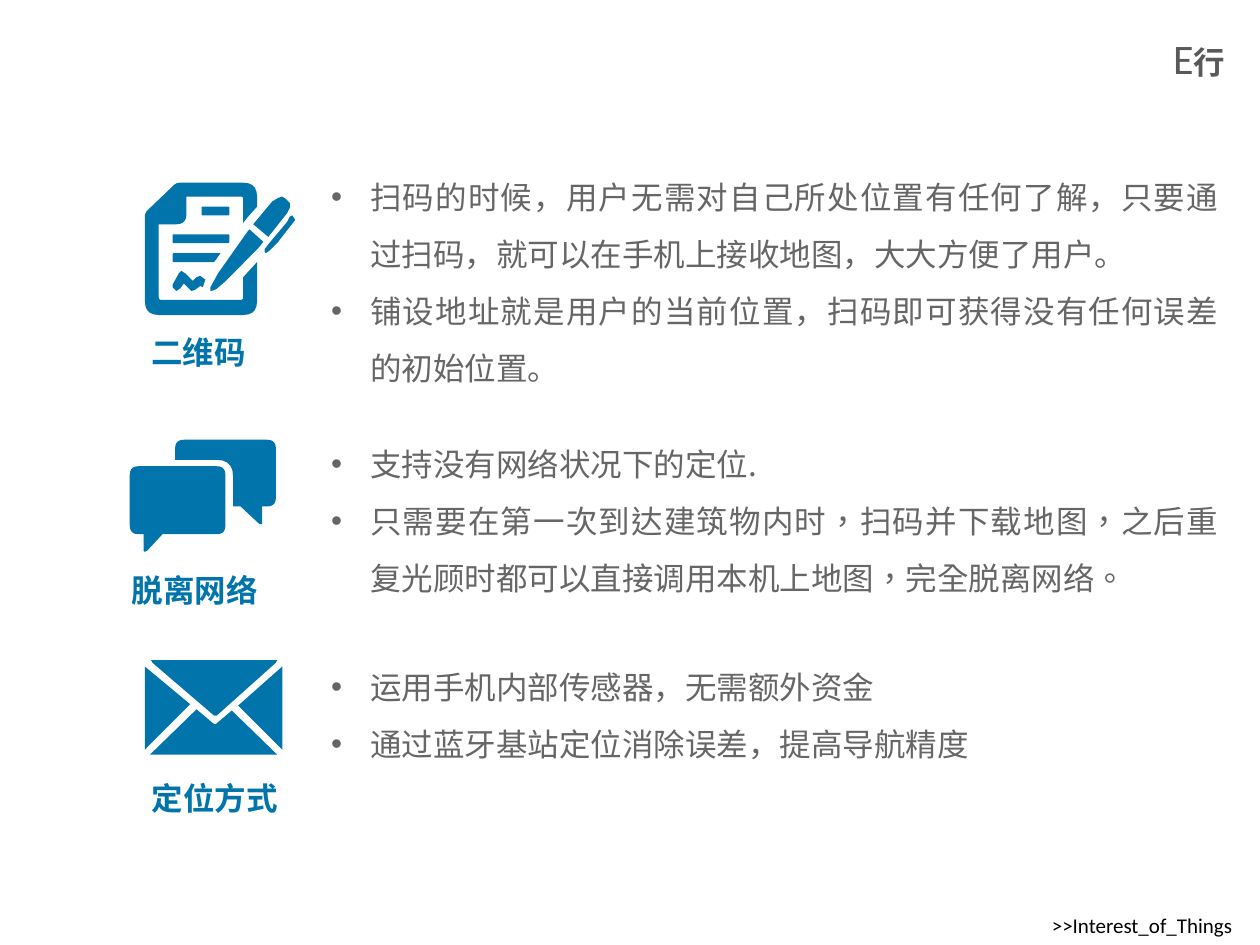
from dataclasses import dataclass

from pptx import Presentation
from pptx.dml.color import RGBColor
from pptx.enum.text import MSO_ANCHOR, MSO_AUTO_SIZE, PP_ALIGN
from pptx.oxml.ns import qn
from pptx.util import Pt
from lxml import etree

PX = 9144  # EMU in one px, 100 px to the inch
LEFT, CENTER, JUSTIFY = PP_ALIGN.LEFT, PP_ALIGN.CENTER, PP_ALIGN.JUSTIFY
TOP = MSO_ANCHOR.TOP
NO_AUTOSIZE = MSO_AUTO_SIZE.NONE
TITLE_ONLY = 5
CORNER_STEPS = 5

Outline = list[tuple[int, ...]]  # corners: x, y and an optional rounding radius


@dataclass(frozen=True)
class Theme:
    accent: RGBColor = RGBColor(0x01, 0x74, 0xAB)
    body: RGBColor = RGBColor(0x66, 0x66, 0x66)
    title: RGBColor = RGBColor(0x59, 0x59, 0x59)
    footer: RGBColor = RGBColor(0, 0, 0)
    latin: str = "Calibri"
    cjk: str = "Noto Sans CJK SC"
    title_size: int = 24
    text_size: int = 18
    footer_size: int = 12
    label_leading: float = 21.6
    body_leading: float = 32.5


@dataclass(frozen=True)
class Box:
    left: int
    top: int
    width: int
    height: int

    def emu(self) -> list[int]:
        return [v * PX for v in (self.left, self.top, self.width, self.height)]


@dataclass(frozen=True)
class Feature:
    label: str
    label_box: Box
    bullets: list[str]
    body_box: Box
    icon: list[Outline]
    lang: str = "zh-CN"


THEME = Theme()


def bar(left: int, top: int, right: int, bottom: int) -> Outline:
    return [(left, top, 1), (right, top, 1), (right, bottom, 1), (left, bottom, 1)]


DOCUMENT_ICON = [
    # page with folded corner, open where the pen crosses it
    [(193, 177), (193, 156, 2), (148, 156), (148, 178, 8), (126, 178),
     (126, 238, 2), (193, 238, 2), (193, 220), (204, 208), (204, 250, 11),
     (115, 250, 11), (115, 169, 3), (140, 145, 3), (204, 145, 11),
     (204, 164), (196, 173)],
    # pen body, cap and clip
    [(198, 182), (209, 192), (204, 198), (178, 224), (171, 230, 2),
     (167, 231), (167, 228), (173, 217), (197, 183)],
    [(213, 188), (201, 178), (216, 160), (221, 157), (224, 156), (227, 158),
     (230, 161), (230, 165), (228, 169)],
    [(234, 174), (234, 175), (220, 193), (214, 199), (211, 201), (210, 200),
     (210, 198), (213, 194), (228, 176), (230, 172), (232, 171)],
    # text lines and signature
    bar(160, 164, 182, 171),
    bar(137, 186, 182, 193),
    [(137, 201, 1), (175, 201), (170, 208), (137, 208, 1)],
    [(161, 228), (159, 227), (155, 230), (152, 231), (150, 229), (146, 225),
     (143, 229), (140, 231), (137, 228), (137, 226), (142, 217), (144, 215),
     (147, 217), (153, 223), (156, 220), (159, 219), (163, 222)],
]

CHAT_ICON = [
    [(103, 370, 7), (179, 370, 7), (179, 424, 7), (129, 424), (117, 437),
     (115, 438), (114, 437), (114, 424), (103, 424, 7)],
    [(139, 349, 7), (219, 349, 7), (219, 402, 7), (208, 402), (208, 416),
     (206, 416), (191, 402), (185, 402), (185, 365, 13), (139, 365)],
]

ENVELOPE_ICON = [
    [(120, 524), (220, 524), (219, 526), (172, 568), (170, 568), (121, 526)],
    [(119, 599), (156, 563), (169, 574), (171, 575), (184, 564), (220, 599)],
    [(115, 529), (151, 559), (115, 595)],
    [(224, 529), (224, 595), (189, 560)],
]

FEATURES = [
    Feature("二维码", Box(102, 257, 111, 40),
            ["扫码的时候，用户无需对自己所处位置有任何了解，只要通过扫码，就可以在手机上接收地图，大大方便了用户。",
             "铺设地址就是用户的当前位置，扫码即可获得没有任何误差的初始位置。"],
            Box(253, 119, 724, 310), DOCUMENT_ICON),
    Feature("脱离网络", Box(93, 446, 123, 40),
            ["支持没有网络状况下的定位.",
             "只需要在第一次到达建筑物内时，扫码并下载地图，之后重复光顾时都可以直接调用本机上地图，完全脱离网络。"],
            Box(253, 331, 724, 145), CHAT_ICON, lang="zh-TW"),
    Feature("定位方式", Box(105, 611, 131, 40),
            ["运用手机内部传感器，无需额外资金",
             "通过蓝牙基站定位消除误差，提高导航精度"],
            Box(253, 508, 724, 100), ENVELOPE_ICON),
]


def rounded(outline: Outline) -> list[tuple[float, float]]:
    """Return the outline in EMU with each radius replaced by short segments."""
    points = []
    for i, (x, y, *radius) in enumerate(outline):
        if not radius:
            points.append((x * PX, y * PX))
            continue
        ends = []
        for nx, ny, *_ in (outline[i - 1], outline[(i + 1) % len(outline)]):
            share = radius[0] / ((nx - x) ** 2 + (ny - y) ** 2) ** 0.5
            ends.append((x + (nx - x) * share, y + (ny - y) * share))
        (ax, ay), (bx, by) = ends
        for step in range(CORNER_STEPS + 1):
            t = step / CORNER_STEPS
            a, c, b = (1 - t) ** 2, 2 * t * (1 - t), t ** 2
            points.append(((a * ax + c * x + b * bx) * PX,
                           (a * ay + c * y + b * by) * PX))
    return points


def draw_icon(slide, outlines: list[Outline]) -> None:
    group = slide.shapes.add_group_shape()
    for outline in outlines:
        first, *rest = rounded(outline)
        builder = group.shapes.build_freeform(*first)
        builder.add_line_segments(rest, close=True)
        sp = builder.convert_to_shape()
        sp.shadow.inherit = False
        sp.fill.solid()
        sp.fill.fore_color.rgb = THEME.accent
        sp.line.fill.background()


def prepare_frame(sp, wrap: bool, top_inset: int = 5):
    tf = sp.text_frame
    tf.word_wrap = wrap
    tf.auto_size = NO_AUTOSIZE
    tf.vertical_anchor = TOP
    tf.margin_left = tf.margin_right = 10 * PX
    tf.margin_top, tf.margin_bottom = top_inset * PX, 5 * PX
    return tf


def add_run(p, text: str, font: str, size: int, color: RGBColor,
            bold: bool = False, lang: str = "zh-CN") -> None:
    r = p.add_run()
    r.text = text
    r.font.name, r.font.size, r.font.bold = font, Pt(size), bold
    r.font.color.rgb = color
    rPr = r.font._element
    rPr.set("lang", lang)
    east_asian = etree.Element(qn("a:ea"), typeface=THEME.cjk)
    rPr.find(qn("a:latin")).addnext(east_asian)


def make_bullet(p) -> None:
    pPr = p._p.get_or_add_pPr()
    pPr.set("marL", str(31 * PX))
    pPr.set("indent", str(-31 * PX))
    etree.SubElement(pPr, qn("a:buFont"), typeface="Arial")
    etree.SubElement(pPr, qn("a:buChar"), char="•")


def draw_feature(slide, feature: Feature) -> None:
    draw_icon(slide, feature.icon)

    label = slide.shapes.add_textbox(*feature.label_box.emu())
    p = prepare_frame(label, wrap=False, top_inset=7).paragraphs[0]
    p.alignment, p.line_spacing = CENTER, Pt(THEME.label_leading)
    add_run(p, feature.label, THEME.cjk, THEME.text_size, THEME.accent, bold=True)

    body = slide.shapes.add_textbox(*feature.body_box.emu())
    tf = prepare_frame(body, wrap=True, top_inset=7)
    for i, text in enumerate(feature.bullets):
        p = tf.add_paragraph() if i else tf.paragraphs[0]
        p.alignment, p.line_spacing = JUSTIFY, Pt(THEME.body_leading)
        make_bullet(p)
        add_run(p, text, THEME.cjk, THEME.text_size, THEME.body, lang=feature.lang)


def draw_title(slide) -> None:
    title = slide.shapes.title
    title.left, title.top, title.width, title.height = Box(921, 21, 106, 50).emu()
    p = prepare_frame(title, wrap=True).paragraphs[0]
    p.alignment = LEFT
    add_run(p, "E", THEME.latin, THEME.title_size, THEME.title)
    add_run(p, "行", THEME.cjk, THEME.text_size, THEME.title, bold=True)


def draw_footer(slide) -> None:
    footer = slide.shapes.add_textbox(*Box(825, 719, 180, 30).emu())
    p = prepare_frame(footer, wrap=True).paragraphs[0]
    add_run(p, ">>Interest_of_Things", THEME.latin, THEME.footer_size,
            THEME.footer, lang="en-US")


def main() -> None:
    prs = Presentation()
    prs.slide_width, prs.slide_height = 1000 * PX, 750 * PX
    slide = prs.slides.add_slide(prs.slide_layouts[TITLE_ONLY])
    draw_title(slide)
    draw_footer(slide)
    for feature in FEATURES:
        draw_feature(slide, feature)
    prs.save("out.pptx")


if __name__ == "__main__":
    main()
